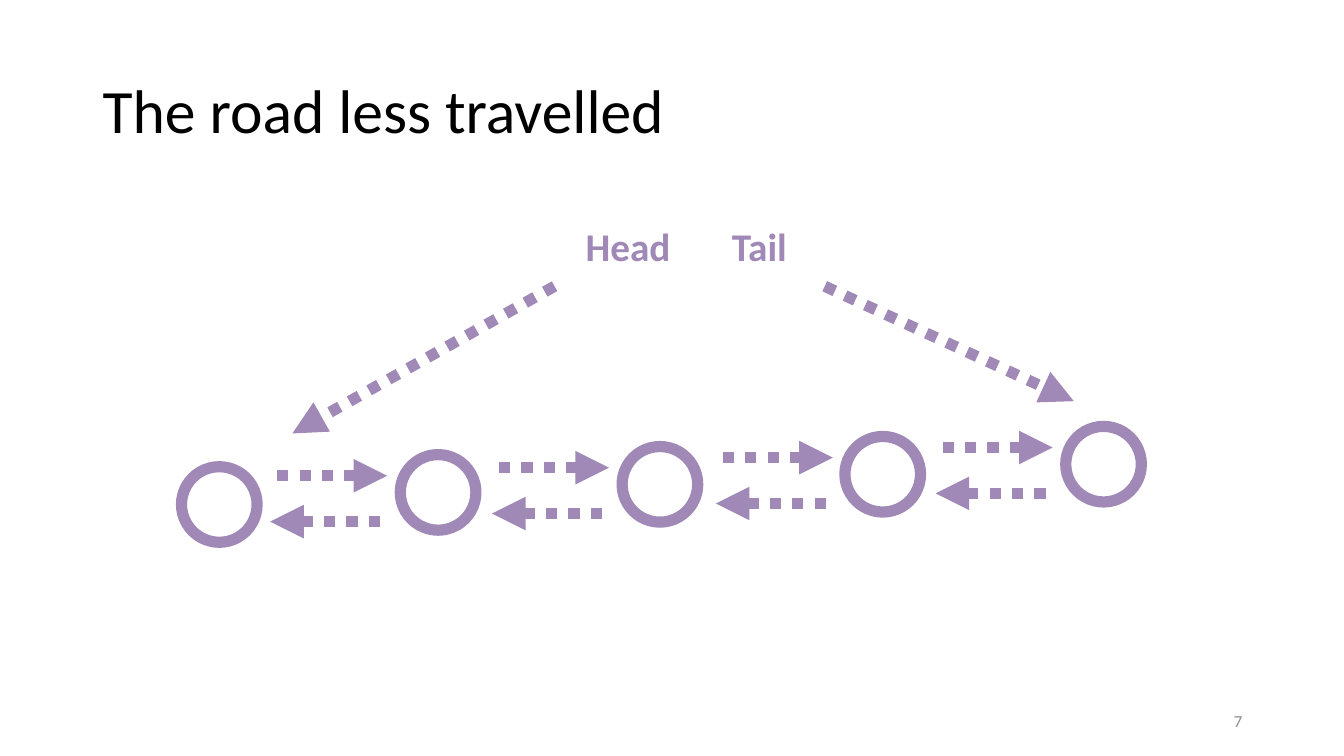
from lxml.etree import SubElement
from pptx import Presentation
from pptx.dml.color import RGBColor
from pptx.enum.dml import MSO_LINE
from pptx.enum.shapes import MSO_CONNECTOR, MSO_SHAPE
from pptx.enum.text import MSO_ANCHOR, PP_ALIGN
from pptx.oxml.ns import qn
from pptx.util import Inches, Pt

PURPLE = "A088B7"
TITLE = "The road less travelled"
POINTERS = "Head\tTail"
PAGE = "7"
NODE_SIZE = 0.75
NODES = [(1.8, 4.63), (3.97, 4.51), (6.17, 4.43), (8.38, 4.33), (10.57, 4.23)]
NEXT_STARTS = [(2.75, 4.72), (4.95, 4.64), (7.17, 4.54), (9.35, 4.44)]
LINK_LENGTH = 1.09
PREV_SHIFT = (-0.07, 0.455)
POINTER_ARROWS = [((5.5, 2.84), (2.9, 4.3)), ((8.18, 2.84), (10.65, 3.98))]

prs = Presentation()
prs.slide_width, prs.slide_height = Inches(13.33), Inches(7.5)
slide = prs.slides.add_slide(prs.slide_layouts[6])


def paint(color, value):
    color.rgb = RGBColor.from_string(value)


def add_text(text, box, size, color, bold=False, align=PP_ALIGN.LEFT,
             anchor=MSO_ANCHOR.TOP, spacing=1.0, tab=None):
    frame = slide.shapes.add_textbox(*map(Inches, box)).text_frame
    frame.word_wrap = True
    frame.vertical_anchor = anchor
    paragraph = frame.paragraphs[0]
    paragraph.alignment = align
    paragraph.line_spacing = spacing
    if tab:
        tabs = SubElement(paragraph._p.get_or_add_pPr(), qn("a:tabLst"))
        SubElement(tabs, qn("a:tab"), pos=str(Inches(tab)), algn="l")
    run = paragraph.add_run()
    run.text = text
    run.font.name, run.font.size, run.font.bold = "Calibri", Pt(size), bold
    paint(run.font.color, color)


def add_node(left, top):
    node = slide.shapes.add_shape(
        MSO_SHAPE.OVAL, *map(Inches, (left, top, NODE_SIZE, NODE_SIZE)))
    node.shadow.inherit = False
    node.fill.background()
    node.line.width = Pt(8)
    paint(node.line.color, PURPLE)


def add_arrow(start, end):
    arrow = slide.shapes.add_connector(
        MSO_CONNECTOR.STRAIGHT, *map(Inches, (*start, *end)))
    arrow.line.width = Pt(8)
    paint(arrow.line.color, PURPLE)
    arrow.line.dash_style = MSO_LINE.ROUND_DOT
    SubElement(arrow.line._get_or_add_ln(), qn("a:tailEnd"), type="triangle")
    SubElement(arrow._element.spPr, qn("a:effectLst"))


add_text(TITLE, (0.92, 0.4, 10.76, 1.45), 44, "000000",
         anchor=MSO_ANCHOR.MIDDLE, spacing=0.9)
add_text(PAGE, (9.42, 6.95, 3, 0.4), 12, "8C8C8C",
         align=PP_ALIGN.RIGHT, anchor=MSO_ANCHOR.MIDDLE)
add_text(POINTERS, (5.71, 2.16, 2.78, 0.57), 28, PURPLE, bold=True, tab=1.45)

for node in NODES:
    add_node(*node)

for x, y in NEXT_STARTS:
    add_arrow((x, y), (x + LINK_LENGTH, y))
    prev_x, prev_y = x + PREV_SHIFT[0], y + PREV_SHIFT[1]
    add_arrow((prev_x + LINK_LENGTH, prev_y), (prev_x, prev_y))

for start, end in POINTER_ARROWS:
    add_arrow(start, end)

prs.save("out.pptx")
